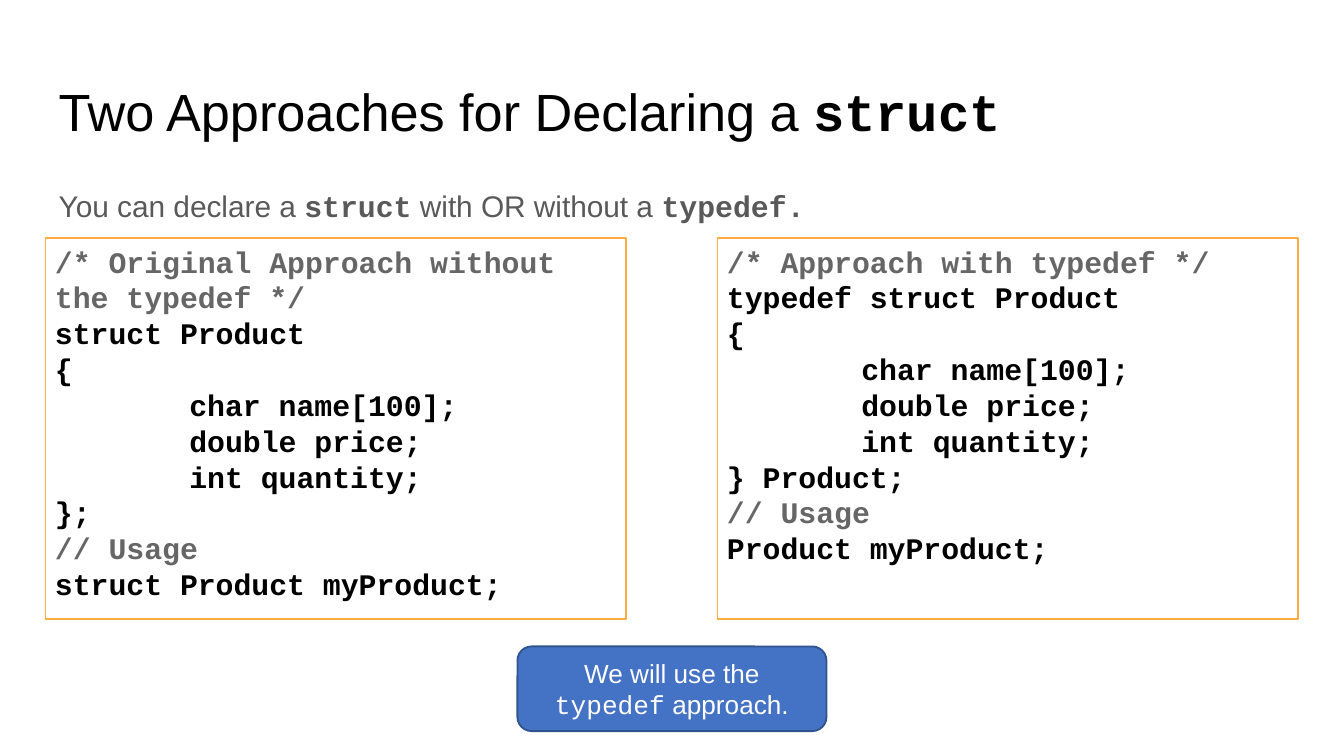
from lxml.etree import SubElement
from pptx import Presentation
from pptx.dml.color import RGBColor
from pptx.enum.shapes import MSO_SHAPE as Shape
from pptx.enum.text import MSO_ANCHOR as Anchor, MSO_AUTO_SIZE as AutoSize, PP_ALIGN as Align
from pptx.oxml.ns import qn
from pptx.util import Cm, Pt

BLACK = RGBColor(0x00, 0x00, 0x00)
WHITE = RGBColor(0xFF, 0xFF, 0xFF)
BODY_GRAY = RGBColor(0x59, 0x59, 0x59)
COMMENT_GRAY = RGBColor(0x66, 0x66, 0x66)
ORANGE = RGBColor(0xFF, 0xAB, 0x40)
BLUE = RGBColor(0x44, 0x72, 0xC4)
DARK_BLUE = RGBColor(0x31, 0x53, 0x8F)
SANS, MONO = "Arial", "Courier New"

MARGIN = 0.86
CONTENT_WIDTH = 23.67
CODE_WIDTH = 10.97

WITHOUT_TYPEDEF = """/* Original Approach without the typedef */
struct Product
{
\tchar name[100];
\tdouble price;
\tint quantity;
};
// Usage
struct Product myProduct;"""

WITH_TYPEDEF = """/* Approach with typedef */
typedef struct Product
{
\tchar name[100];
\tdouble price;
\tint quantity;
} Product;
// Usage
Product myProduct;"""


def place(shape, box):
    """Move a shape to a box of left, top, width and height in centimetres."""
    shape.left, shape.top, shape.width, shape.height = (Cm(length) for length in box)


def set_up_frame(frame, side, end, anchor):
    """Set the insets, wrapping and anchor of a text frame."""
    frame.margin_left = frame.margin_right = Cm(side)
    frame.margin_top = frame.margin_bottom = Cm(end)
    frame.word_wrap = True
    frame.auto_size = AutoSize.NONE
    frame.vertical_anchor = anchor


def style_run(run, font, size, color, bold=False):
    """Set the font of one run."""
    run.font.name = font
    run.font.size = Pt(size)
    run.font.bold = bold
    run.font.color.rgb = color


def write_mixed(paragraph, pieces, size, color, bold_code):
    """Write pieces that alternate between prose and code."""
    for index, text in enumerate(pieces):
        run = paragraph.add_run()
        run.text = text
        is_code = index % 2 == 1
        style_run(run, MONO if is_code else SANS, size, color, is_code and bold_code)


def add_panel(slide, kind, box, fill, line):
    """Add a filled and outlined shape without shadow."""
    shape = slide.shapes.add_shape(kind, *(Cm(length) for length in box))
    shape.shadow.inherit = False
    shape.fill.solid()
    shape.fill.fore_color.rgb = fill
    shape.line.color.rgb = line
    shape.line.width = Pt(1)
    return shape


def fill_title(slide, box):
    """Write the slide title."""
    title = slide.shapes.title
    place(title, box)
    set_up_frame(title.text_frame, 0.25, 0.25, Anchor.TOP)
    paragraph = title.text_frame.paragraphs[0]
    paragraph.alignment = Align.LEFT
    write_mixed(paragraph, ["Two Approaches for Declaring a ", "struct"], 28, BLACK, True)


def fill_body(slide, box):
    """Write the introductory sentence without a bullet."""
    body = slide.placeholders[1]
    place(body, box)
    set_up_frame(body.text_frame, 0.25, 0.25, Anchor.TOP)
    paragraph = body.text_frame.paragraphs[0]
    properties = paragraph._p.get_or_add_pPr()
    properties.set("marL", "0")
    properties.set("indent", "0")
    SubElement(properties, qn("a:buNone"))
    paragraph.space_before = Pt(0)
    paragraph.line_spacing = 1.15
    pieces = ["You can declare a ", "struct", " with OR without a ", "typedef."]
    write_mixed(paragraph, pieces, 16, BODY_GRAY, True)


def add_code(slide, box, code):
    """Add an outlined code listing with gray comments."""
    frame = add_panel(slide, Shape.RECTANGLE, box, WHITE, ORANGE).text_frame
    set_up_frame(frame, 0.18, 0.1, Anchor.TOP)
    frame.text = code
    for paragraph in frame.paragraphs:
        tabs = SubElement(paragraph._p.get_or_add_pPr(), qn("a:tabLst"))
        SubElement(tabs, qn("a:tab"), pos=str(Cm(2.54)), algn="l")
        paragraph.alignment = Align.LEFT
        paragraph.line_spacing = Pt(19.2)
        is_comment = paragraph.text.startswith("/")
        for run in paragraph.runs:
            style_run(run, MONO, 16, COMMENT_GRAY if is_comment else BLACK, True)


def add_note(slide, box):
    """Add the rounded note on the chosen approach."""
    frame = add_panel(slide, Shape.ROUNDED_RECTANGLE, box, BLUE, DARK_BLUE).text_frame
    set_up_frame(frame, 0.25, 0.13, Anchor.MIDDLE)
    paragraph = frame.paragraphs[0]
    paragraph.alignment = Align.CENTER
    write_mixed(paragraph, ["We will use the ", "typedef", " approach."], 14, WHITE, False)


def main():
    """Build and save the presentation."""
    presentation = Presentation()
    presentation.slide_width, presentation.slide_height = Cm(25.4), Cm(14.29)
    slide = presentation.slides.add_slide(presentation.slide_layouts[1])
    fill_title(slide, (MARGIN, 1.24, CONTENT_WIDTH, 1.6))
    fill_body(slide, (MARGIN, 3.2, CONTENT_WIDTH, 9.5))
    right = MARGIN + CONTENT_WIDTH - CODE_WIDTH
    for left, code in ((MARGIN, WITHOUT_TYPEDEF), (right, WITH_TYPEDEF)):
        add_code(slide, (left, 4.5, CODE_WIDTH, 7.21), code)
    add_note(slide, (9.78, 12.22, 5.84, 1.6))
    presentation.save("out.pptx")


if __name__ == "__main__":
    main()
